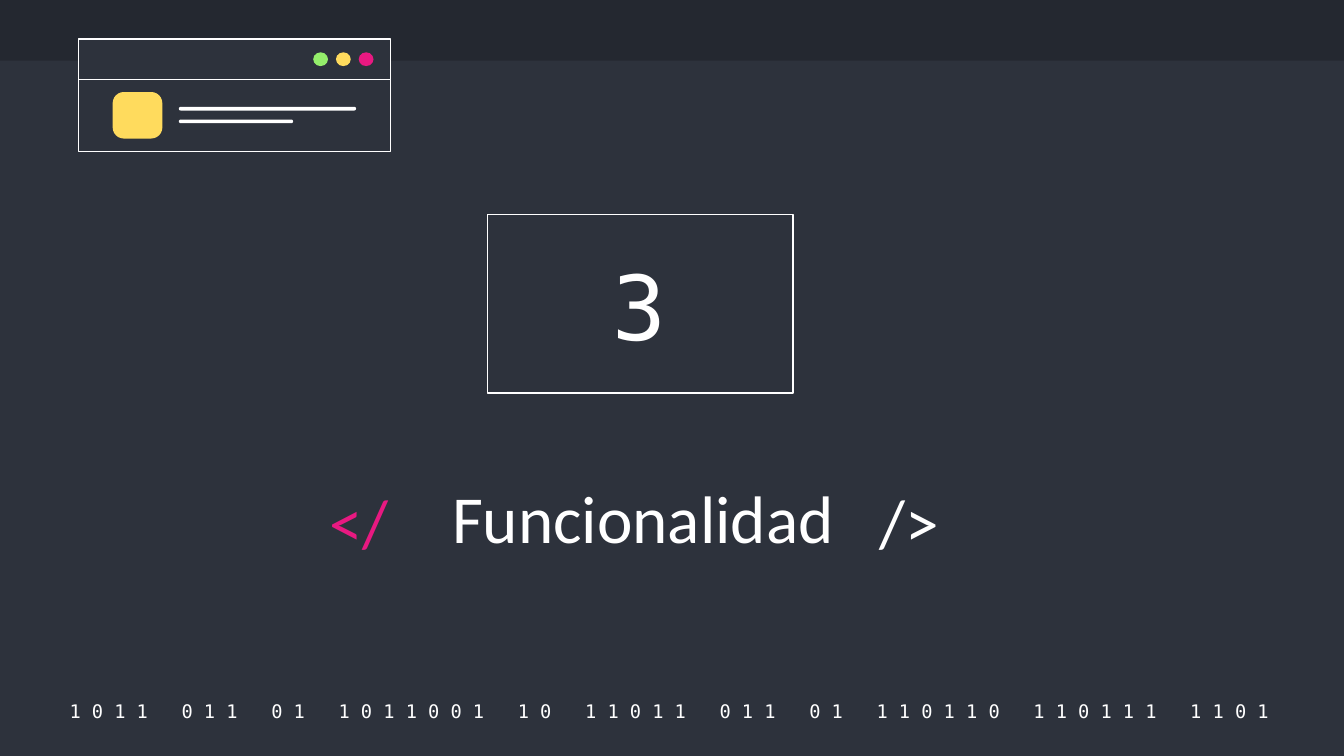
from pptx import Presentation
from pptx.dml.color import RGBColor
from pptx.enum.shapes import MSO_SHAPE
from pptx.enum.text import MSO_ANCHOR, PP_ALIGN
from pptx.util import Cm, Pt

COLORS = {
    "background": "2D323C",
    "band": "242830",
    "white": "FFFFFF",
    "pink": "E81981",
    "yellow": "FFDB5D",
    "green": "94EE6B",
}
MONO = "DejaVu Sans Mono"

presentation = Presentation()
presentation.slide_width = Cm(25.4)
presentation.slide_height = Cm(14.29)
slide = presentation.slides.add_slide(presentation.slide_layouts[6])
slide.background.fill.solid()
slide.background.fill.fore_color.rgb = RGBColor.from_string(COLORS["background"])


def add_box(kind, left, top, width, height, fill, outlined=False, radius=None):
    """Add a filled preset shape, measured in centimetres."""
    shape = slide.shapes.add_shape(kind, Cm(left), Cm(top), Cm(width), Cm(height))
    shape.shadow.inherit = False
    shape.fill.solid()
    shape.fill.fore_color.rgb = RGBColor.from_string(COLORS[fill])
    if outlined:
        shape.line.color.rgb = RGBColor.from_string(COLORS["white"])
        shape.line.width = Pt(0.75)
    else:
        shape.line.fill.background()
    if radius is not None:
        shape.adjustments[0] = radius


def add_text(text, left, top, width, height, *, size, font="Calibri", color="white",
             align=PP_ALIGN.CENTER, anchor=MSO_ANCHOR.MIDDLE, line_spacing=1.0, gap=None):
    """Add one line of text; gap widens each space between "|" groups, in points."""
    frame = slide.shapes.add_textbox(Cm(left), Cm(top), Cm(width), Cm(height)).text_frame
    frame.word_wrap = True
    frame.vertical_anchor = anchor
    frame.margin_left = frame.margin_right = Cm(0.25)
    frame.margin_top = frame.margin_bottom = Cm(0.25)
    paragraph = frame.paragraphs[0]
    paragraph.alignment = align
    paragraph.line_spacing = line_spacing
    pieces = text.replace("|", "| |").split("|")
    for piece in pieces:
        run = paragraph.add_run()
        run.text = piece
        run.font.size = Pt(size)
        run.font.name = font
        run.font.color.rgb = RGBColor.from_string(COLORS[color])
        if gap and piece == " ":
            run.font._element.set("spc", str(round(gap * 100)))


# Top band and binary footer
add_box(MSO_SHAPE.RECTANGLE, 0, 0, 25.4, 1.15, "band")
binary_groups = "1011 011 01 1011001 10 11011 011 01 110110 110111 1101".split()
binary_line = "|".join(" ".join(group) for group in binary_groups)
add_text(binary_line, 0.87, 13.2, 23.55, 0.5, size=10, font=MONO, gap=12.04)

# Section number
add_box(MSO_SHAPE.RECTANGLE, 9.22, 4.06, 5.77, 3.37, "background", outlined=True)
add_text("3", 9.98, 4.5, 4.22, 1.83, size=48, font=MONO, anchor=MSO_ANCHOR.TOP)

# Section title between tag brackets
for bracket, left, color in (("</", 5.97, "pink"), ("/>", 16.38, "white")):
    add_text(bracket, left, 9.09, 1.96, 1.68, size=36, color=color,
             align=PP_ALIGN.LEFT, line_spacing=0.9)
add_text("Funcionalidad", 7.62, 8.56, 9.07, 2.24, size=36,
         anchor=MSO_ANCHOR.BOTTOM, line_spacing=0.9)

# Browser window
for top, height in ((1.5, 1.37), (0.74, 0.76)):
    add_box(MSO_SHAPE.RECTANGLE, 1.49, top, 5.89, height, "background", outlined=True)
add_box(MSO_SHAPE.ROUNDED_RECTANGLE, 2.13, 1.74, 0.94, 0.88, "yellow", radius=0.24)
for top, width in ((2.02, 3.35), (2.26, 2.16)):
    add_box(MSO_SHAPE.ROUNDED_RECTANGLE, 3.38, top, width, 0.07, "white", radius=0.5)
for index, color in enumerate(("green", "yellow", "pink")):
    add_box(MSO_SHAPE.OVAL, 5.92 + 0.43 * index, 0.99, 0.28, 0.26, color)

presentation.save("out.pptx")
